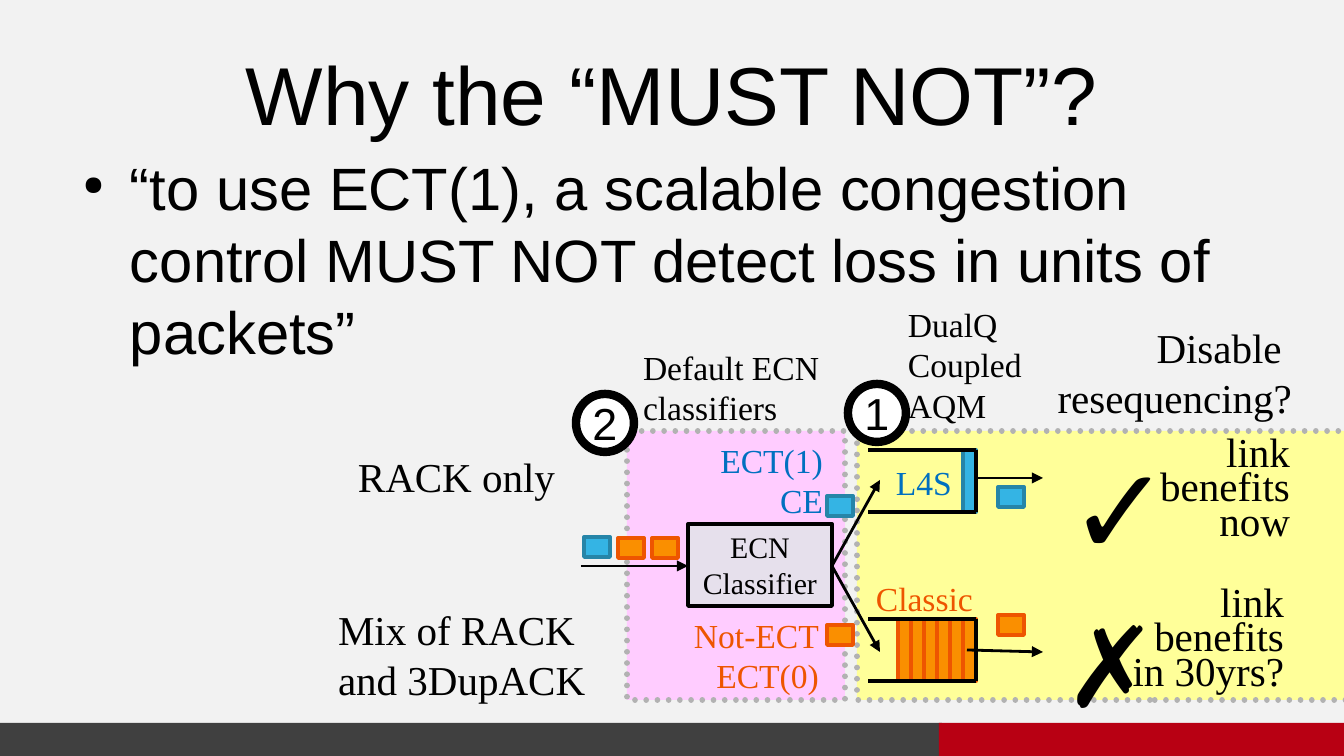
import pptx
import pptx.util
import pptx.dml.color
import pptx.enum.dml
import pptx.enum.shapes
import pptx.enum.text
import pptx.oxml.ns
from lxml import etree

RGB = pptx.dml.color.RGBColor
SHAPE = pptx.enum.shapes.MSO_SHAPE
ALIGN = pptx.enum.text.PP_ALIGN
ANCHOR = pptx.enum.text.MSO_ANCHOR
qn = pptx.oxml.ns.qn

PX = 914400 / 134.4
SANS, SERIF = "Arial", "Times New Roman"
BLACK, WHITE = RGB(0, 0, 0), RGB(255, 255, 255)
PAPER, GREY, RED = RGB(0xF2, 0xF2, 0xF2), RGB(0x40, 0x40, 0x40), RGB(0xB8, 0x00, 0x13)
PINK, YELLOW, DOTS = RGB(0xFF, 0xCC, 0xFF), RGB(0xFF, 0xFF, 0x99), RGB(0xB2, 0xB2, 0xB2)
LILAC, BLUE_TEXT = RGB(0xE6, 0xE0, 0xEC), RGB(0x00, 0x70, 0xC0)
SKY, SKY_EDGE = RGB(0x34, 0xB4, 0xE4), RGB(0x26, 0x85, 0xA8)
ORANGE, ORANGE_EDGE = RGB(0xFA, 0x8F, 0x00), RGB(0xEE, 0x55, 0x00)
L4S, CLASSIC = (SKY, SKY_EDGE), (ORANGE, ORANGE_EDGE)

TITLE = "Why the “MUST NOT”?"
QUOTE = ("“to use ECT(1), a scalable congestion control MUST NOT "
         "detect loss in units of packets”")

FOOTER = [((0, 723, 942, 35), GREY), ((939, 723, 405, 35), RED)]
ZONES = [((627, 431, 218, 269), PINK), ((857, 431, 586, 269), YELLOW)]
STEPS = [("2", 576, 394), ("1", 848, 384)]
PACKETS = [(584, 537, L4S), (618, 538, CLASSIC), (652, 538, CLASSIC),
           (827, 496, L4S), (827, 625, CLASSIC),
           (998, 487, L4S), (998, 615, CLASSIC)]
PACKET_W, PACKET_H = 26, 20

# top of the queue, waiting packets, kind
QUEUES = [(450, 1, L4S), (619, 6, CLASSIC)]
QUEUE_LEFT, QUEUE_RIGHT, QUEUE_H, SLOT_W = 868, 976, 62, 13

ARROWS = [(581, 566, 688, 566), (832, 566, 880, 480), (832, 566, 880, 652),
          (976, 478, 1043, 478), (967, 650, 1043, 652)]

# text, box, size, colour, alignment, line spacing
LABELS = [
    ("ECT(1)\nCE", (667, 433, 169, 102), 18, BLUE_TEXT, ALIGN.RIGHT, None),
    ("Not-ECT\nECT(0)", (677, 608, 155, 102), 18, ORANGE_EDGE, ALIGN.RIGHT, None),
    ("Default ECN classifiers", (630, 340, 206, 99), 18, BLACK, ALIGN.LEFT, None),
    ("DualQ\nCoupled\nAQM", (895, 297, 151, 156), 18, BLACK, ALIGN.LEFT, None),
    ("L4S", (880, 455, 85, 54), 18, BLUE_TEXT, ALIGN.RIGHT, None),
    ("Classic", (832, 571, 154, 54), 18, ORANGE_EDGE, ALIGN.RIGHT, None),
    ("Disable \nresequencing?", (1042, 316, 263, 114), 22, BLACK, ALIGN.RIGHT, None),
    ("RACK only", (345, 445, 245, 67), 22, BLACK, ALIGN.LEFT, None),
    ("Mix of RACK\nand 3DupACK", (325, 598, 286, 114), 22, BLACK, ALIGN.LEFT, None),
    ("link\nbenefits\nnow", (1114, 433, 189, 113), 22, BLACK, ALIGN.RIGHT, 0.7),
    ("link\nbenefits\nin 30yrs?", (1110, 583, 187, 113), 22, BLACK, ALIGN.RIGHT, 0.7),
]
MARKS = [("✗", (1052, 589, 98, 167), 60), ("✓", (1055, 425, 121, 181), 66)]


def px(n):
    return pptx.util.Emu(round(n * PX))


def write(s, text, size, font, color=BLACK, align=ALIGN.LEFT,
          anchor=ANCHOR.TOP, inset=(13, 7), spacing=None):
    tf = s.text_frame
    tf.word_wrap = True
    tf.vertical_anchor = anchor
    tf.margin_left = tf.margin_right = px(inset[0])
    tf.margin_top = tf.margin_bottom = px(inset[1])
    tf.text = text
    for p in tf.paragraphs:
        p.alignment = align
        if spacing:
            p.line_spacing = spacing
        for r in p.runs:
            r.font.size = pptx.util.Pt(size)
            r.font.name = font
            r.font.color.rgb = color
    return s


def textbox(box, *args, **kwargs):
    return write(slide.shapes.add_textbox(*map(px, box)), *args, **kwargs)


def shape(box, fill, edge=None, width=2, kind=SHAPE.RECTANGLE):
    s = slide.shapes.add_shape(kind, *map(px, box))
    s.shadow.inherit = False
    s.fill.solid()
    s.fill.fore_color.rgb = fill
    if edge is None:
        s.line.fill.background()
    else:
        s.line.color.rgb = edge
        s.line.width = pptx.util.Pt(width)
    return s


def line(x1, y1, x2, y2, width=2, arrow=False):
    c = slide.shapes.add_connector(pptx.enum.shapes.MSO_CONNECTOR.STRAIGHT,
                                   px(x1), px(y1), px(x2), px(y2))
    c.line.color.rgb = BLACK
    c.line.width = pptx.util.Pt(width)
    if arrow:
        etree.SubElement(c.line._get_or_add_ln(), qn("a:tailEnd"), type="triangle")
    etree.SubElement(c._element.spPr, qn("a:effectLst"))


def add_bullet(p, char, percent, left, hang):
    pPr = p._p.get_or_add_pPr()
    pPr.set("marL", str(px(left)))
    pPr.set("indent", str(px(-hang)))
    etree.SubElement(pPr, qn("a:buSzPct"), val=str(percent * 1000))
    etree.SubElement(pPr, qn("a:buChar"), char=char)


def queue(top, waiting, colors):
    """Draw packets against the closed right end of an open-left queue."""
    bottom = top + QUEUE_H
    for i in range(waiting, 0, -1):
        shape((QUEUE_RIGHT - i * SLOT_W, top, SLOT_W, QUEUE_H), *colors)
    for y in (top, bottom):
        line(QUEUE_RIGHT, y, QUEUE_LEFT, y)
    line(QUEUE_RIGHT, bottom, QUEUE_RIGHT, top)


prs = pptx.Presentation()
prs.slide_width, prs.slide_height = px(1344), px(756)
slide = prs.slides.add_slide(prs.slide_layouts[6])
slide.background.fill.solid()
slide.background.fill.fore_color.rgb = PAPER

for box, color in FOOTER:
    shape(box, color)
textbox((67, 30, 1210, 126), TITLE, 44, SANS, align=ALIGN.CENTER,
        anchor=ANCHOR.MIDDLE, inset=(0, 0))
quote = textbox((67, 151, 1210, 185), QUOTE, 32, SANS, inset=(0, 0))
add_bullet(quote.text_frame.paragraphs[0], "●", 45, 63, 47)

for box, color in ZONES:
    zone = shape(box, color, DOTS, 3)
    zone.line.dash_style = pptx.enum.dml.MSO_LINE.ROUND_DOT
    zone.line._get_or_add_ln().set("cap", "rnd")
for number, x, y in STEPS:
    s = shape((x, y, 58, 58), WHITE, BLACK, 4.5, SHAPE.OVAL)
    write(s, number, 24, SANS, align=ALIGN.CENTER, anchor=ANCHOR.MIDDLE, inset=(0, 0))

write(shape((688, 524, 144, 82), LILAC, BLACK), "ECN\nClassifier", 16, SERIF,
      align=ALIGN.CENTER, anchor=ANCHOR.MIDDLE)
for x, y, colors in PACKETS:
    shape((x, y, PACKET_W, PACKET_H), *colors)
for top, waiting, colors in QUEUES:
    queue(top, waiting, colors)
for ends in ARROWS:
    line(*ends, width=1.5, arrow=True)

for mark, box, size in MARKS:
    textbox(box, mark, size, SANS)
for text, box, size, color, align, spacing in LABELS:
    textbox(box, text, size, SERIF, color, align, spacing=spacing)

prs.save("out.pptx")
